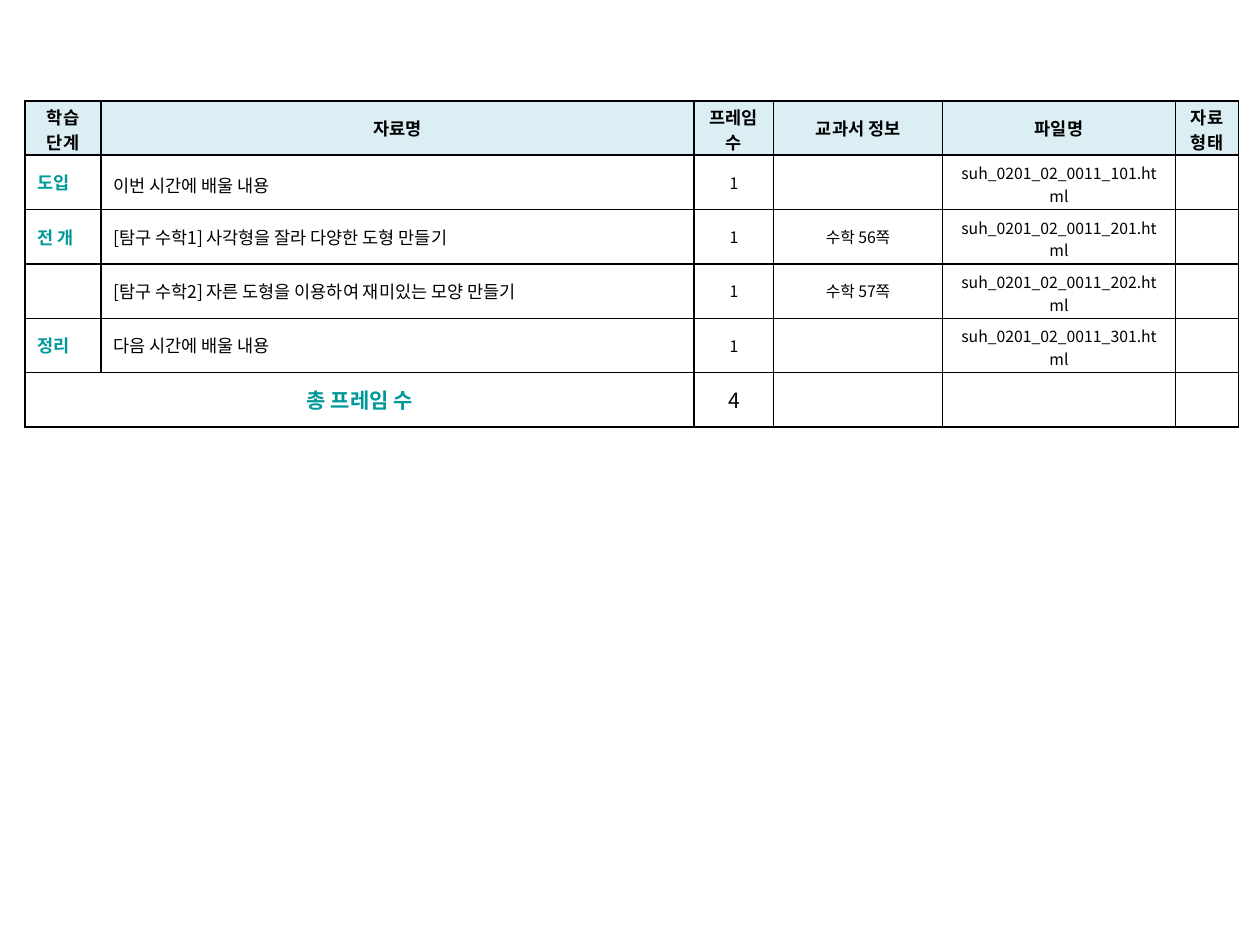
from typing import NamedTuple

import pptx
import pptx.dml.color
import pptx.enum.text
import pptx.oxml.ns
import pptx.util
from lxml import etree
from pptx.dml.color import RGBColor
from pptx.util import Inches

FONT = "Noto Sans CJK KR"
BLACK = RGBColor(0x00, 0x00, 0x00)
TEAL = RGBColor(0x00, 0x99, 0x99)
PALE_BLUE = RGBColor(0xDB, 0xEE, 0xF4)
CENTER = pptx.enum.text.PP_ALIGN.CENTER
LEFT = pptx.enum.text.PP_ALIGN.LEFT
JUSTIFY = pptx.enum.text.PP_ALIGN.JUSTIFY
TOP = pptx.enum.text.MSO_ANCHOR.TOP
MIDDLE = pptx.enum.text.MSO_ANCHOR.MIDDLE
COLUMN_WIDTHS = (0.6, 4.71, 0.63, 1.34, 1.85, 0.5)


class Style(NamedTuple):
    size: float
    color: RGBColor = BLACK
    bold: bool = False
    align: pptx.enum.text.PP_ALIGN = CENTER
    line_spacing: float | None = None
    anchor: pptx.enum.text.MSO_ANCHOR = MIDDLE
    top: float = 0.05
    bottom: float = 0.05


class Lesson(NamedTuple):
    stage: str
    title: str
    page: str
    file_number: int
    title_style: Style


HEADER = Style(10, bold=True)
# Two-line cells give up their lower margin to keep the row height
TALL_HEADER = Style(10, bold=True, anchor=TOP, top=0.03, bottom=0)
FILE_NAME = Style(9, anchor=TOP, bottom=0)
STAGE = Style(10, TEAL, True, JUSTIFY)
TITLE = Style(10, align=LEFT)
INTRO_TITLE = Style(10, align=JUSTIFY, line_spacing=1.2)
DETAIL = Style(9)
TOTAL_LABEL = Style(12, TEAL, True)
TOTAL_COUNT = Style(12)

HEADINGS = ("학습 단계", "자료명", "프레임 수", "교과서 정보", "파일명", "자료\n형태")
HEADING_STYLES = (TALL_HEADER, HEADER, TALL_HEADER, HEADER, HEADER, TALL_HEADER)
LESSONS = (
    Lesson("도입", "이번 시간에 배울 내용", "", 101, INTRO_TITLE),
    Lesson("전 개", "[탐구 수학1] 사각형을 잘라 다양한 도형 만들기", "수학 56쪽", 201, TITLE),
    Lesson("", "[탐구 수학2] 자른 도형을 이용하여 재미있는 모양 만들기", "수학 57쪽", 202, TITLE),
    Lesson("정리", "다음 시간에 배울 내용", "", 301, TITLE),
)


def add_child(parent: etree._Element, tag: str, **attributes: str) -> etree._Element:
    return etree.SubElement(parent, pptx.oxml.ns.qn(tag), **attributes)


def draw_borders(cell: pptx.table._Cell) -> None:
    properties = cell._tc.get_or_add_tcPr()
    for side in ("a:lnL", "a:lnR", "a:lnT", "a:lnB"):
        line = add_child(properties, side, w=str(pptx.util.Pt(1)))
        add_child(add_child(line, "a:solidFill"), "a:srgbClr", val=str(BLACK))


def write_cell(cell: pptx.table._Cell, text: str, style: Style) -> None:
    cell.vertical_anchor = style.anchor
    cell.margin_top = Inches(style.top)
    cell.margin_bottom = Inches(style.bottom)
    frame = cell.text_frame
    for index, line in enumerate(text.split("\n")):
        para = frame.add_paragraph() if index else frame.paragraphs[0]
        para.alignment = style.align
        if style.line_spacing:
            para.line_spacing = style.line_spacing
        if not line:
            # Small end mark keeps an empty cell from stretching its row
            add_child(para._p, "a:endParaRPr", sz=str(style.size * 100))
            continue
        span = para.add_run()
        span.text = line
        span.font.size = pptx.util.Pt(style.size)
        span.font.bold = style.bold
        span.font.color.rgb = style.color
        span.font.name = FONT
        add_child(span.font._element, "a:ea", typeface=FONT)


def write_row(table: pptx.table.Table, row: int, texts: tuple[str, ...],
              styles: tuple[Style, ...]) -> None:
    for column, (text, style) in enumerate(zip(texts, styles)):
        write_cell(table.cell(row, column), text, style)


def main() -> None:
    deck = pptx.Presentation()
    deck.slide_width, deck.slide_height = Inches(10), Inches(7.5)
    slide = deck.slides.add_slide(deck.slide_layouts[6])

    # Table grid
    row_count = len(LESSONS) + 2
    table = slide.shapes.add_table(
        row_count, len(COLUMN_WIDTHS),
        Inches(0.2), Inches(0.8), Inches(sum(COLUMN_WIDTHS)), Inches(2.59)).table
    table.first_row = table.horz_banding = False
    for column, width in zip(table.columns, COLUMN_WIDTHS):
        column.width = Inches(width)
    for row in range(row_count):
        for column in range(len(COLUMN_WIDTHS)):
            cell = table.cell(row, column)
            draw_borders(cell)
            if row == 0:
                cell.fill.solid()
                cell.fill.fore_color.rgb = PALE_BLUE
            else:
                cell.fill.background()

    # Heading and lesson rows
    write_row(table, 0, HEADINGS, HEADING_STYLES)
    for row, lesson in enumerate(LESSONS, start=1):
        file_name = f"suh_0201_02_0011_{lesson.file_number}.html"
        write_row(table, row,
                  (lesson.stage, lesson.title, "1", lesson.page, file_name, ""),
                  (STAGE, lesson.title_style, DETAIL, DETAIL, FILE_NAME, DETAIL))

    # Total row
    total_row = row_count - 1
    table.cell(total_row, 0).merge(table.cell(total_row, 1))
    write_row(table, total_row,
              ("총 프레임 수", "", str(len(LESSONS)), "", "", ""),
              (TOTAL_LABEL, DETAIL, TOTAL_COUNT, DETAIL, DETAIL, DETAIL))

    deck.save("out.pptx")


if __name__ == "__main__":
    main()
